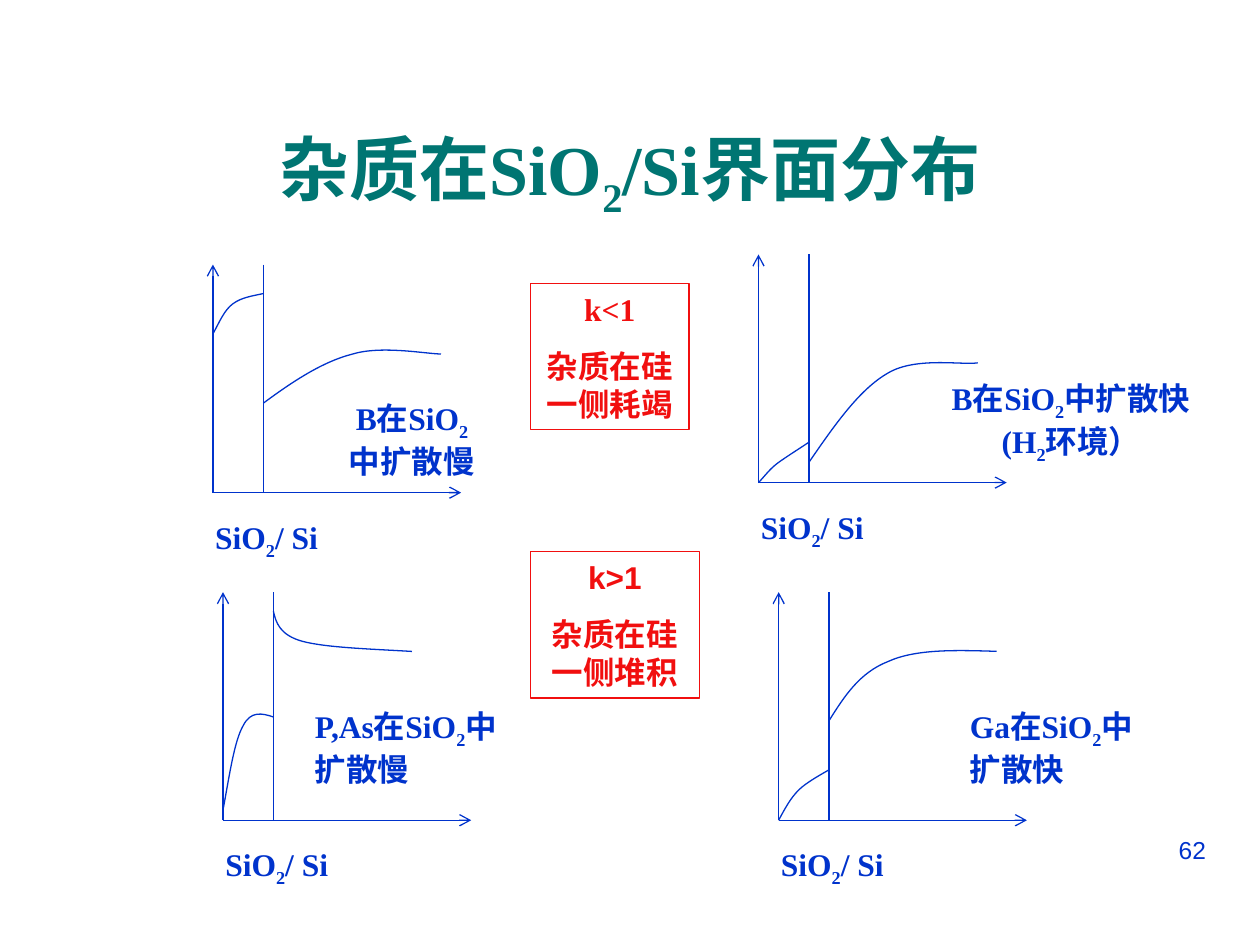
from lxml.etree import SubElement
from pptx import Presentation
from pptx.dml.color import RGBColor
from pptx.enum.shapes import MSO_CONNECTOR, MSO_SHAPE
from pptx.enum.text import MSO_ANCHOR, PP_ALIGN
from pptx.oxml.ns import qn
from pptx.util import Inches, Pt

TEAL = RGBColor(0x00, 0x75, 0x72)
BLUE = RGBColor(0x00, 0x33, 0xCC)
RED = RGBColor(0xF1, 0x0F, 0x0F)
SERIF, SANS = "Times New Roman", "Arial"
LEFT, CENTER, RIGHT = PP_ALIGN.LEFT, PP_ALIGN.CENTER, PP_ALIGN.RIGHT

AXIS_WIDTH, AXIS_HEIGHT, INTERFACE = 1.97, 1.81, 0.4
LINE_WIDTH = Pt(0.75)

# Text between bars is subscript; curve points are measured from each plot's origin.
TITLE = "杂质在SiO|2|/Si界面分布"
AXIS_LABEL = "SiO|2|/ Si"
PLOTS = [
    {
        "origin": (1.69, 3.91),
        "oxide": [(0, 1.26), (0.05, 1.35), (0.09, 1.45), (0.16, 1.5),
                  (0.23, 1.55), (0.31, 1.56), (0.4, 1.58)],
        "silicon": [(0.4, 0.71), (0.63, 0.88), (0.87, 1.04), (1.11, 1.1),
                    (1.34, 1.17), (1.7, 1.1), (1.81, 1.1)],
        "note": ("B在SiO|2|中扩散慢", (2.64, 3.12, 1.26, 0.74), CENTER),
    },
    {
        "origin": (6.02, 3.83),
        "oxide": [(0, 0), (0.05, 0.05), (0.09, 0.11), (0.16, 0.16),
                  (0.23, 0.21), (0.31, 0.26), (0.4, 0.32)],
        "silicon": [(0.4, 0.16), (0.6, 0.45), (0.8, 0.74), (1.03, 0.87),
                    (1.25, 1), (1.62, 0.93), (1.74, 0.95)],
        "note": ("B在SiO|2|中扩散快(H|2|环境）", (7.36, 2.96, 2.28, 0.78), CENTER),
    },
    {
        "origin": (1.77, 6.51),
        "oxide": [(0, 0.08), (0.05, 0.35), (0.09, 0.63), (0.16, 0.75),
                  (0.22, 0.87), (0.31, 0.85), (0.4, 0.82)],
        "silicon": [(0.4, 1.66), (0.42, 1.57), (0.45, 1.47), (0.63, 1.42),
                    (0.82, 1.37), (1.16, 1.36), (1.5, 1.34)],
        "note": ("P,As在SiO|2|中扩散慢", (2.4, 5.56, 1.73, 0.74), LEFT),
    },
    {
        "origin": (6.18, 6.51),
        "oxide": [(0, 0), (0.05, 0.09), (0.09, 0.17), (0.16, 0.24),
                  (0.22, 0.3), (0.35, 0.37), (0.4, 0.4)],
        "silicon": [(0.4, 0.79), (0.52, 0.98), (0.64, 1.17), (0.87, 1.26),
                    (1.09, 1.36), (1.41, 1.35), (1.73, 1.34)],
        "note": ("Ga在SiO|2|中扩散快", (7.6, 5.56, 1.57, 0.74), LEFT),
    },
]
CASES = [
    ("k<1", SERIF, "杂质在硅一侧耗竭", (4.21, 2.25, 1.26, 1.16)),
    ("k>1", SANS, "杂质在硅一侧堆积", (4.21, 4.38, 1.34, 1.16)),
]


def write(paragraph, text, size, color, font_name=SERIF, bold=True, align=LEFT):
    paragraph.alignment = align
    font = paragraph.font
    font.size, font.name, font.bold = Pt(size), font_name, bold
    font.color.rgb = color
    for index, part in enumerate(text.split("|")):
        run = paragraph.add_run()
        run.text = part
        if index % 2:
            run._r.get_or_add_rPr().set("baseline", "-25000")


def add_text(slide, box, text, size=18, color=BLUE, anchor=MSO_ANCHOR.TOP, **style):
    frame = slide.shapes.add_textbox(*map(Inches, box)).text_frame
    frame.word_wrap = True
    frame.vertical_anchor = anchor
    write(frame.paragraphs[0], text, size, color, **style)


def add_line(slide, start, end, arrow=False):
    line = slide.shapes.add_connector(
        MSO_CONNECTOR.STRAIGHT, *map(Inches, (*start, *end)))
    line.line.color.rgb = BLUE
    line.line.width = LINE_WIDTH
    if arrow:
        SubElement(line.line._get_or_add_ln(), qn("a:tailEnd"), type="arrow")
    SubElement(line._element.spPr, qn("a:effectLst"))


def add_curve(slide, origin, offsets):
    left, bottom = origin
    points = [(Inches(left + x), Inches(bottom - y)) for x, y in offsets]
    builder = slide.shapes.build_freeform(*points[0])
    builder.add_line_segments(points[1:], close=False)
    curve = builder.convert_to_shape()
    curve.shadow.inherit = False
    curve.fill.background()
    curve.line.color.rgb = BLUE
    curve.line.width = LINE_WIDTH
    outline = curve._element.xpath(".//a:path")[0]
    segments = outline.findall(qn("a:lnTo"))
    for first in range(0, len(segments), 3):
        bezier = SubElement(outline, qn("a:cubicBezTo"))
        for segment in segments[first:first + 3]:
            bezier.append(segment[0])
            outline.remove(segment)


def add_plot(slide, plot):
    left, bottom = origin = plot["origin"]
    top, boundary = bottom - AXIS_HEIGHT, left + INTERFACE
    add_line(slide, origin, (left + AXIS_WIDTH, bottom), arrow=True)
    add_line(slide, origin, (left, top), arrow=True)
    add_line(slide, (boundary, top), (boundary, bottom))
    add_text(slide, (left - 0.08, bottom + 0.15, 1.26, 0.44), AXIS_LABEL)
    add_curve(slide, origin, plot["oxide"])
    add_curve(slide, origin, plot["silicon"])
    text, box, align = plot["note"]
    add_text(slide, box, text, align=align)


def add_case(slide, heading, heading_font, result, box):
    shape = slide.shapes.add_shape(MSO_SHAPE.RECTANGLE, *map(Inches, box))
    shape.shadow.inherit = False
    shape.fill.background()
    shape.line.color.rgb = RED
    shape.line.width = LINE_WIDTH
    frame = shape.text_frame
    frame.word_wrap = True
    frame.vertical_anchor = MSO_ANCHOR.TOP
    write(frame.paragraphs[0], heading, 18, RED, heading_font, align=CENTER)
    paragraph = frame.add_paragraph()
    paragraph.space_before = Pt(11.2)
    write(paragraph, result, 18, RED, SANS, align=CENTER)


def main():
    presentation = Presentation()
    presentation.slide_width, presentation.slide_height = Inches(10), Inches(7.5)
    slide = presentation.slides.add_slide(presentation.slide_layouts[6])
    add_text(slide, (0.33, 0.75, 9.34, 1.25), TITLE, 40, TEAL,
             MSO_ANCHOR.MIDDLE, align=CENTER)
    for plot in PLOTS:
        add_plot(slide, plot)
    for case in CASES:
        add_case(slide, *case)
    add_text(slide, (7.17, 6.58, 2.5, 0.52), "62", 14,
             font_name=SANS, bold=False, align=RIGHT)
    presentation.save("out.pptx")


if __name__ == "__main__":
    main()
